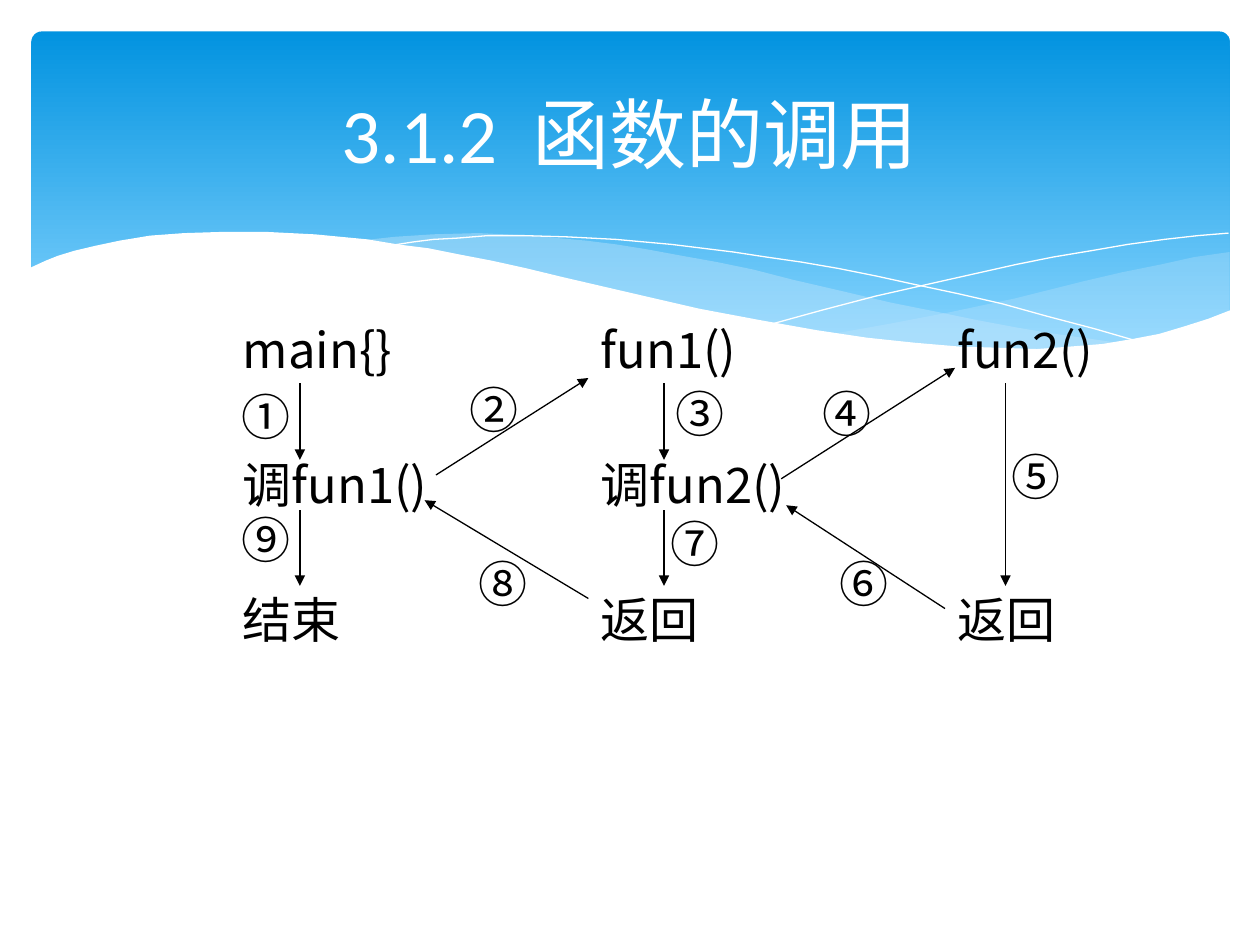
from lxml import etree
from pptx import Presentation
from pptx.dml.color import RGBColor
from pptx.enum.shapes import MSO_CONNECTOR, MSO_SHAPE
from pptx.enum.text import MSO_ANCHOR, PP_ALIGN
from pptx.oxml.ns import qn
from pptx.util import Inches, Pt

ROUNDED = MSO_SHAPE.ROUNDED_RECTANGLE
STRAIGHT = MSO_CONNECTOR.STRAIGHT
JUSTIFY, CENTER = PP_ALIGN.JUSTIFY, PP_ALIGN.CENTER
TOP, MIDDLE = MSO_ANCHOR.TOP, MSO_ANCHOR.MIDDLE

WHITE = RGBColor(0xFF, 0xFF, 0xFF)
BLACK = RGBColor(0x00, 0x00, 0x00)
DEEP_BLUE = RGBColor(0x02, 0x93, 0xE0)
SKY_BLUE = RGBColor(0x83, 0xD3, 0xFE)
PALE_BLUE = RGBColor(0xC6, 0xE7, 0xFC)

LATIN_FONT = "Calibri"
CHINESE_FONT = "Noto Sans CJK SC"

RIGHT_WAVE = [
    (9.76, 2), (9.48, 2.04), (9.21, 2.1), (8.91, 2.16), (8.61, 2.23),
    (8.05, 2.37), (7.53, 2.48), (7.06, 2.57), (6.61, 2.65), (6.91, 2.69),
    (7.19, 2.72), (7.45, 2.75), (7.69, 2.77), (8.03, 2.78), (8.35, 2.77),
    (8.63, 2.75), (8.89, 2.72), (9.13, 2.67), (9.35, 2.62), (9.49, 2.57),
    (9.63, 2.52), (9.76, 2.47)]
LONG_WAVE = [
    (8.93, 2.73), (8.66, 2.69), (8.37, 2.65), (8.07, 2.6), (7.75, 2.54),
    (7.41, 2.47), (7.06, 2.4), (6.68, 2.31), (6.29, 2.22), (5.98, 2.14),
    (5.69, 2.08), (5.41, 2.03), (5.14, 1.98), (4.89, 1.94), (4.65, 1.91),
    (4.2, 1.87), (3.8, 1.85), (3.44, 1.86), (3.13, 1.88), (2.86, 1.91),
    (3.23, 1.96), (3.62, 2.03), (4.04, 2.11), (4.49, 2.22), (4.91, 2.32),
    (5.3, 2.4), (5.66, 2.48), (6.01, 2.55), (6.34, 2.61), (6.65, 2.66),
    (6.95, 2.7), (7.22, 2.74), (7.48, 2.76), (7.73, 2.77), (7.96, 2.78),
    (8.28, 2.78), (8.57, 2.77), (8.76, 2.75)]
FALLING_CURVE = [
    (3.09, 1.95), (3.28, 1.92), (3.44, 1.9), (3.63, 1.89), (3.87, 1.87),
    (4.16, 1.87), (4.5, 1.88), (4.89, 1.9), (5.33, 1.94), (5.82, 2),
    (6.08, 2.04), (6.36, 2.08), (6.65, 2.13), (6.95, 2.19), (7.27, 2.26),
    (7.6, 2.33), (7.95, 2.41), (8.31, 2.51), (8.69, 2.61), (9.07, 2.72)]
RISING_CURVE = [
    (6.13, 2.57), (6.53, 2.46), (6.95, 2.35), (7.48, 2.23), (8.06, 2.1),
    (8.36, 2.04), (8.66, 1.99), (8.95, 1.94), (9.24, 1.9), (9.51, 1.87),
    (9.75, 1.85)]
WHITE_WAVE = [
    (9.77, 2.46), (9.59, 2.53), (9.4, 2.59), (9.2, 2.65), (8.99, 2.69),
    (8.75, 2.73), (8.5, 2.75), (8.23, 2.77), (7.93, 2.76), (7.61, 2.75),
    (7.26, 2.72), (6.88, 2.68), (6.48, 2.62), (6.03, 2.54), (5.55, 2.45),
    (5.03, 2.33), (4.47, 2.2), (4.18, 2.13), (3.91, 2.07), (3.65, 2.02),
    (3.4, 1.97), (3.16, 1.94), (2.92, 1.9), (2.5, 1.86), (2.11, 1.84),
    (1.77, 1.84), (1.46, 1.85), (1.19, 1.87), (0.95, 1.91), (0.76, 1.95),
    (0.59, 1.99), (0.46, 2.03), (0.36, 2.07), (0.23, 2.13), (0.23, 3.29),
    (9.77, 3.29)]

LINE_PITCH = 38.5
# Each column: left edge and (points above the line, text)
COLUMNS = [
    (1.83, [(0, "main{}"), (LINE_PITCH, "调fun1()"), (LINE_PITCH, "结束")]),
    (4.67, [(0, "fun1()"), (LINE_PITCH, "调fun2()"), (LINE_PITCH, "返回")]),
    (7.5, [(0, "fun2()"), (3 * LINE_PITCH, "返回")]),
]
ARROWS = [
    ((2.38, 3.04), (2.38, 3.65)), ((2.38, 4.05), (2.38, 4.65)),
    ((3.46, 3.77), (4.67, 3)), ((4.67, 4.75), (3.37, 3.97)),
    ((5.27, 3.04), (5.27, 3.65)), ((5.27, 4.05), (5.27, 4.65)),
    ((6.2, 3.8), (7.58, 2.92)), ((7.98, 3.04), (7.98, 4.65)),
    ((7.5, 4.83), (6.24, 4.01)),
]
STEPS = {
    "①": (1.92, 3.06), "②": (3.73, 3.01), "③": (5.36, 3.04),
    "④": (6.53, 3.04), "⑤": (8.03, 3.54), "⑥": (6.66, 4.39),
    "⑦": (5.32, 4.07), "⑧": (3.8, 4.39), "⑨": (1.92, 4.04),
}


def assign(target, values):
    """Set every attribute named in values on target."""
    for name, value in values.items():
        setattr(target, name, value)


class Painter:
    """Holds the style and the current slide."""

    def __init__(self, page):
        """Start drawing on a page."""
        self.page = page
        self.shapes = page.shapes

    def banner(self, left, top, width, height):
        """Draw the rounded banner with its vertical gradient."""
        shape = self.shapes.add_shape(
            ROUNDED, Inches(left), Inches(top), Inches(width), Inches(height))
        shape.adjustments[0] = 0.03
        shape.shadow.inherit = False
        shape.line.fill.background()
        shape.fill.gradient()
        shape.fill.gradient_angle = 270
        stops = shape.fill.gradient_stops
        for stop, color, position in zip(stops, (DEEP_BLUE, SKY_BLUE), (0, 0.9)):
            stop.color.rgb = color
            stop.position = position

    def outline(self, points, close):
        """Build a freeform through points given in inches."""
        start, *others = [(Inches(x), Inches(y)) for x, y in points]
        builder = self.shapes.build_freeform(*start)
        builder.add_line_segments(others, close=close)
        shape = builder.convert_to_shape()
        shape.shadow.inherit = False
        return shape

    def wave(self, points, color, opacity=100):
        """Draw a filled wave with an opacity in percent."""
        shape = self.outline(points, True)
        shape.line.fill.background()
        shape.fill.solid()
        shape.fill.fore_color.rgb = color
        if opacity < 100:
            tint = shape.fill._xPr.find(".//" + qn("a:srgbClr"))
            etree.SubElement(tint, qn("a:alpha"), val=str(opacity * 1000))

    def curve(self, points):
        """Draw a white hairline curve."""
        shape = self.outline(points, False)
        shape.fill.background()
        shape.line.color.rgb = WHITE
        shape.line.width = Pt(0)

    def text(self, place, rows, frame_format, para_format, font_format, color):
        """Write rows of (space above, text) as paragraphs in one text box."""
        box = self.shapes.add_textbox(*map(Inches, place))
        frame = box.text_frame
        assign(frame, {"word_wrap": True, **frame_format})
        for index, (space, words) in enumerate(rows):
            para = frame.add_paragraph() if index else frame.paragraphs[0]
            assign(para, {"space_before": Pt(space), **para_format})
            span = para.add_run()
            span.text = words
            assign(span.font, font_format)
            span.font.color.rgb = color
            etree.SubElement(span.font._element, qn("a:ea"),
                             typeface=CHINESE_FONT)

    def arrow(self, start, end):
        """Draw a thin black arrow from start to end."""
        line = self.shapes.add_connector(
            STRAIGHT, *map(Inches, start), *map(Inches, end))
        line.line.color.rgb = BLACK
        line.line.width = Pt(0.75)
        etree.SubElement(line.line._get_or_add_ln(), qn("a:tailEnd"),
                         type="triangle")
        etree.SubElement(line._element.spPr, qn("a:effectLst"))


def main():
    """Build the slide and save it."""
    deck = Presentation()
    assign(deck, {"slide_width": Inches(10), "slide_height": Inches(7.5)})
    painter = Painter(deck.slides.add_slide(deck.slide_layouts[6]))

    painter.banner(0.25, 0.25, 9.51, 2.7)
    painter.wave(RIGHT_WAVE, PALE_BLUE, 29)
    painter.wave(LONG_WAVE, PALE_BLUE, 40)
    painter.curve(FALLING_CURVE)
    painter.curve(RISING_CURVE)
    painter.wave(WHITE_WAVE, WHITE)

    painter.text((0.5, 0.37, 9, 1.37), [(0, "3.1.2  函数的调用")],
                 {"vertical_anchor": MIDDLE}, {"alignment": CENTER},
                 {"name": LATIN_FONT, "size": Pt(44)}, WHITE)

    body_font = {"name": CHINESE_FONT, "size": Pt(28)}
    for left, rows in COLUMNS:
        painter.text((left, 2.42, 1.83, 2.83), rows,
                     {"vertical_anchor": TOP, "margin_top": Inches(0.05)},
                     {"alignment": JUSTIFY, "line_spacing": Pt(LINE_PITCH)},
                     body_font, BLACK)
    for start, end in ARROWS:
        painter.arrow(start, end)
    sides = ("left", "top", "right", "bottom")
    no_margins = {f"margin_{side}": 0 for side in sides}
    for number, (left, top) in STEPS.items():
        painter.text((left, top, 0.35, 0.4), [(0, number)], no_margins,
                     {"alignment": JUSTIFY, "line_spacing": Pt(34)},
                     body_font, BLACK)
    deck.save("out.pptx")


main()
